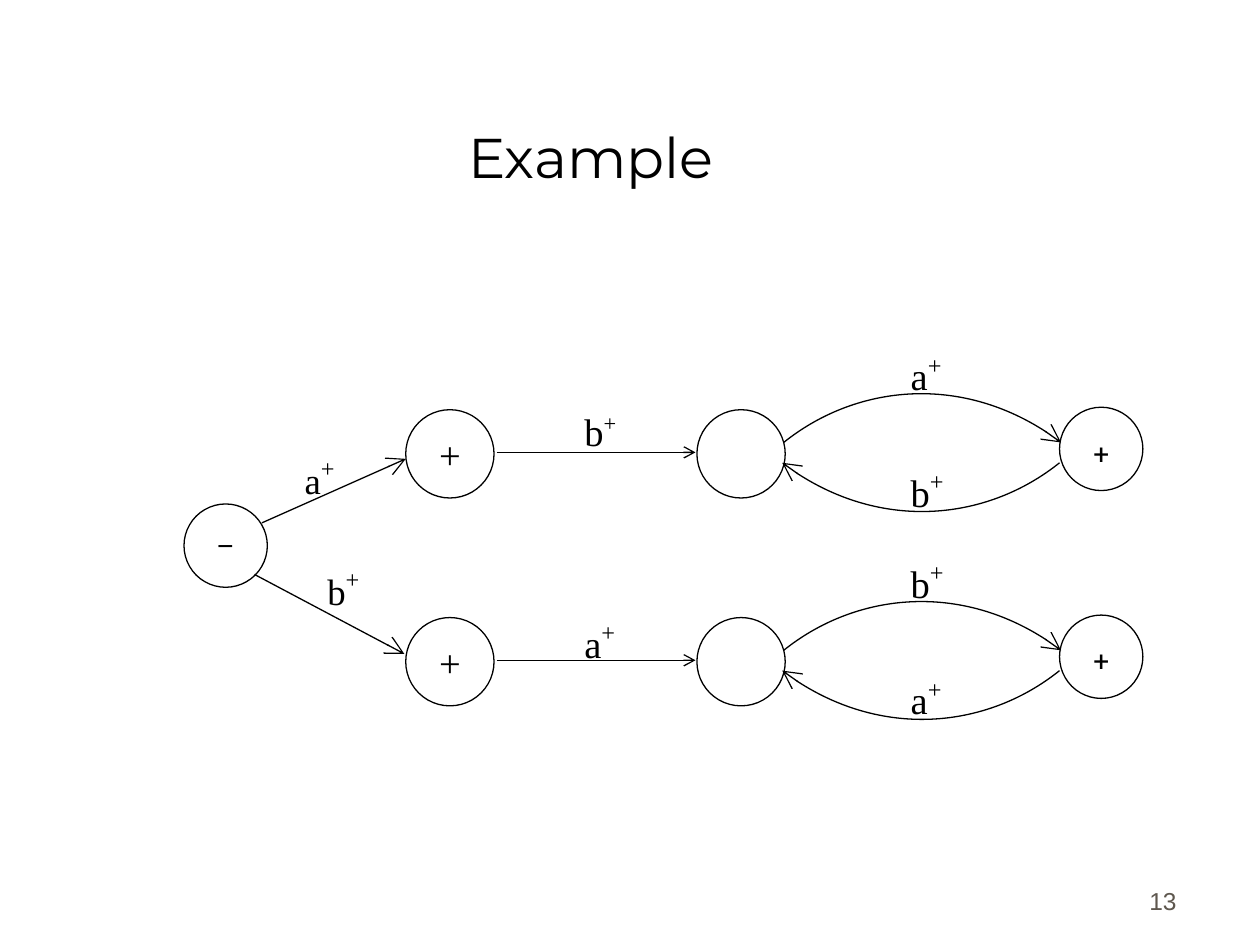
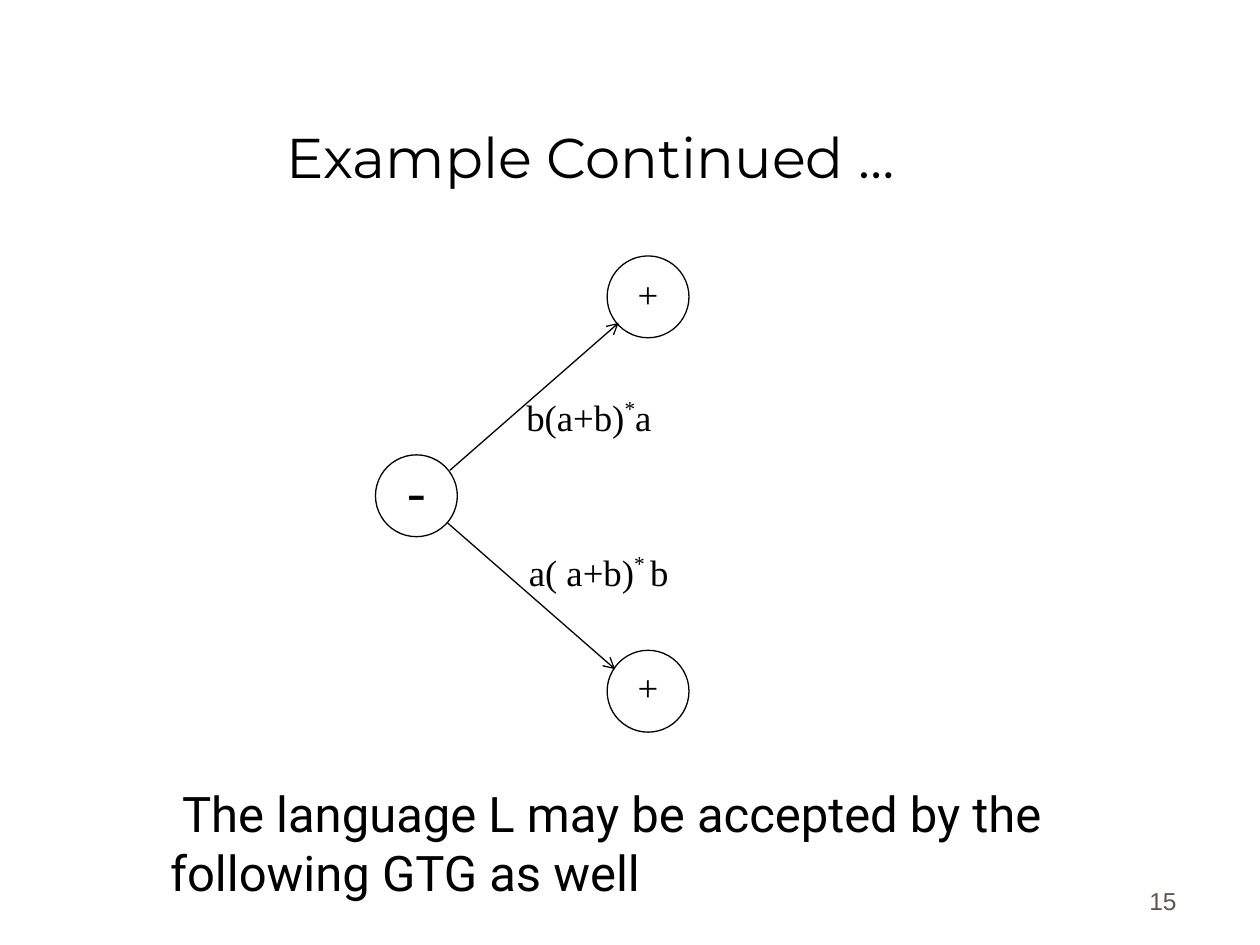
import pptx
import pptx.dml.color
import pptx.enum.shapes
import pptx.enum.text
import pptx.oxml
import pptx.oxml.ns
import pptx.util
from lxml import etree

Cm = pptx.util.Cm
Pt = pptx.util.Pt
Anchor = pptx.enum.text.MSO_ANCHOR
Align = pptx.enum.text.PP_ALIGN
qn = pptx.oxml.ns.qn

# Shared look
INK, PAPER, FOOTER_INK = "000000", "FFFFFF", "5E574E"
TITLE_FONT, BODY_FONT, MATH_FONT, FOOTER_FONT = "Montserrat", "Roboto", "Times New Roman", "Arial"
LINE_WIDTH = Pt(0.75)
SUPERSCRIPT = 40000


def color(hex_string):
    return pptx.dml.color.RGBColor.from_string(hex_string)


# Text
def add_run(paragraph, text, font, size, ink=INK, baseline=0):
    run = paragraph.add_run()
    run.text = text
    run.font.name, run.font.size = font, Pt(size)
    run.font.color.rgb = color(ink)
    if baseline:
        run.font._element.set("baseline", str(baseline))


def add_text_box(slide, left, top, width, height, anchor=Anchor.TOP):
    frame = slide.shapes.add_textbox(Cm(left), Cm(top), Cm(width), Cm(height)).text_frame
    frame.word_wrap = True
    frame.vertical_anchor = anchor
    return frame.paragraphs[0]


def add_edge_label(slide, left, top, size, base, power, power_size, rest="", width=2.2):
    paragraph = add_text_box(slide, left, top, width, 1.4)
    add_run(paragraph, base, MATH_FONT, size)
    add_run(paragraph, power, MATH_FONT, power_size, baseline=SUPERSCRIPT)
    if rest:
        add_run(paragraph, rest, MATH_FONT, size)


# Diagram parts
def add_state(slide, left, top, size, sign="", font=MATH_FONT, points=22, shift=0.0):
    """Draw a state; shift moves its sign down from the middle."""
    circle = slide.shapes.add_shape(
        pptx.enum.shapes.MSO_SHAPE.OVAL, Cm(left), Cm(top), Cm(size), Cm(size))
    circle.shadow.inherit = False
    circle.fill.solid()
    circle.fill.fore_color.rgb = color(PAPER)
    circle.line.color.rgb = color(INK)
    circle.line.width = LINE_WIDTH
    if sign:
        frame = circle.text_frame
        frame.word_wrap = False
        frame.vertical_anchor = Anchor.MIDDLE
        frame.margin_left = frame.margin_right = 0
        frame.margin_top = Cm(max(2 * shift, 0))
        frame.margin_bottom = Cm(max(-2 * shift, 0))
        frame.paragraphs[0].alignment = Align.CENTER
        add_run(frame.paragraphs[0], sign, font, points)


def style_edge(edge, head_size):
    edge.line.color.rgb = color(INK)
    edge.line.width = LINE_WIDTH
    etree.SubElement(edge.line._get_or_add_ln(), qn("a:tailEnd"),
                     type="arrow", w=head_size, len=head_size)


def add_arrow(slide, start, end, head_size="med"):
    arrow = slide.shapes.add_connector(
        pptx.enum.shapes.MSO_CONNECTOR.STRAIGHT, *(Cm(value) for value in start + end))
    style_edge(arrow, head_size)
    etree.SubElement(arrow._element.spPr, qn("a:effectLst"))


def add_arc(slide, left, top, direction):
    """Bow up to the right (direction 1) or down to the left (direction -1)."""
    offsets = [(1.42, -1.14), (3.73, -1.42), (5.59, 0)]
    builder = slide.shapes.build_freeform(Cm(left), Cm(top))
    builder.add_line_segments(
        [(Cm(left + direction * dx), Cm(top + direction * dy)) for dx, dy in offsets],
        close=False)
    arc = builder.convert_to_shape()
    # Turn the three segments into one cubic curve
    segments = list(arc._element.iter(qn("a:lnTo")))
    outline = segments[0].getparent()
    curve = etree.SubElement(outline, qn("a:cubicBezTo"))
    for segment in segments:
        curve.append(segment[0])
        outline.remove(segment)
    arc.shadow.inherit = False
    arc.fill.background()
    style_edge(arc, "lg")


# Regions
def add_titled_slide(presentation, title, number):
    slide = presentation.slides.add_slide(presentation.slide_layouts[5])
    slide.background.fill.solid()
    slide.background.fill.fore_color.rgb = color(PAPER)
    heading = slide.shapes.title
    heading.left, heading.top, heading.width, heading.height = Cm(1.12), Cm(0.64), Cm(21.59), Cm(3.18)
    frame = heading.text_frame
    frame.margin_left = frame.margin_top = frame.margin_right = frame.margin_bottom = 0
    frame.vertical_anchor = Anchor.BOTTOM
    frame.paragraphs[0].alignment = Align.CENTER
    add_run(frame.paragraphs[0], title, TITLE_FONT, 32)

    footer = add_text_box(slide, 18.69, 17.3, 5.28, 1.27, Anchor.BOTTOM)
    footer.alignment = Align.RIGHT
    add_run(footer, number, FOOTER_FONT, 14, FOOTER_INK)
    return slide


def add_branch(slide, left, top, first, second):
    """Draw state, arrow, state and loop; the loop reads first, then second."""
    add_state(slide, left, top, 1.78, "+")
    add_state(slide, left + 5.87, top, 1.78)
    add_state(slide, left + 13.18, top - 0.05, 1.68, "+", BODY_FONT, 16, 0.08)
    add_arrow(slide, (left + 1.83, top + 0.86), (left + 5.84, top + 0.86))
    add_arc(slide, left + 7.62, top + 0.66, 1)
    add_arc(slide, left + 13.18, top + 1.07, -1)
    for dx, dy, letter, power_size in [(3.35, -0.15, second, 22 if second == "b" else 24),
                                       (9.93, -1.35, first, 24),
                                       (9.93, 0.99, second, 24)]:
        add_edge_label(slide, left + dx, top + dy, 22, letter, "+", power_size)


def add_two_branch_graph(slide, left, top):
    add_state(slide, left, top, 1.68, "–", BODY_FONT, 16)
    # Edges out of the start state
    add_arrow(slide, (left + 1.57, top + 0.38), (left + 4.47, top - 0.91), "lg")
    add_arrow(slide, (left + 1.42, top + 1.42), (left + 4.44, top + 3.02), "lg")
    add_edge_label(slide, left + 2.18, top - 1.17, 21, "a", "+", 24)
    add_edge_label(slide, left + 2.64, top + 1.07, 21, "b", "+", 24)
    for row, letters in enumerate(["ab", "ba"]):
        add_branch(slide, left + 4.47, top - 1.9 + 4.19 * row, *letters)


def add_forked_graph(slide, left, top):
    size = 1.65
    add_state(slide, left, top + 4.01, size, "-", points=32, shift=-0.13)
    add_state(slide, left + 4.67, top, size, "+", points=21, shift=-0.06)
    add_state(slide, left + 4.67, top + 7.95, size, "+", points=21, shift=-0.09)
    add_arrow(slide, (left + 1.5, top + 4.32), (left + 4.9, top + 1.35))
    add_arrow(slide, (left + 1.45, top + 5.38), (left + 4.83, top + 8.33))
    add_edge_label(slide, left + 2.79, top + 2.67, 21, "b(a+b)", "*", 21, "a", width=5)
    add_edge_label(slide, left + 2.84, top + 5.79, 21, "a( a+b)", "* ", 21, "b", width=5)


def add_remark(slide, left, top, text):
    paragraph = add_text_box(slide, left, top, 19.48, 2.64)
    paragraph._p.get_or_add_pPr().set("indent", str(Cm(0.24)))
    add_run(paragraph, text, BODY_FONT, 28)


def main():
    presentation = pptx.Presentation()
    presentation.slide_width, presentation.slide_height = Cm(25.4), Cm(19.05)

    slide = add_titled_slide(presentation, "Example", "13")
    add_two_branch_graph(slide, 3.71, 10.16)

    slide = add_titled_slide(presentation, "Example Continued …", "15")
    add_forked_graph(slide, 7.57, 5.16)
    add_remark(slide, 3.18, 15.67, "The language L may be accepted by the following GTG as well")

    presentation.save("out.pptx")


if __name__ == "__main__":
    main()
